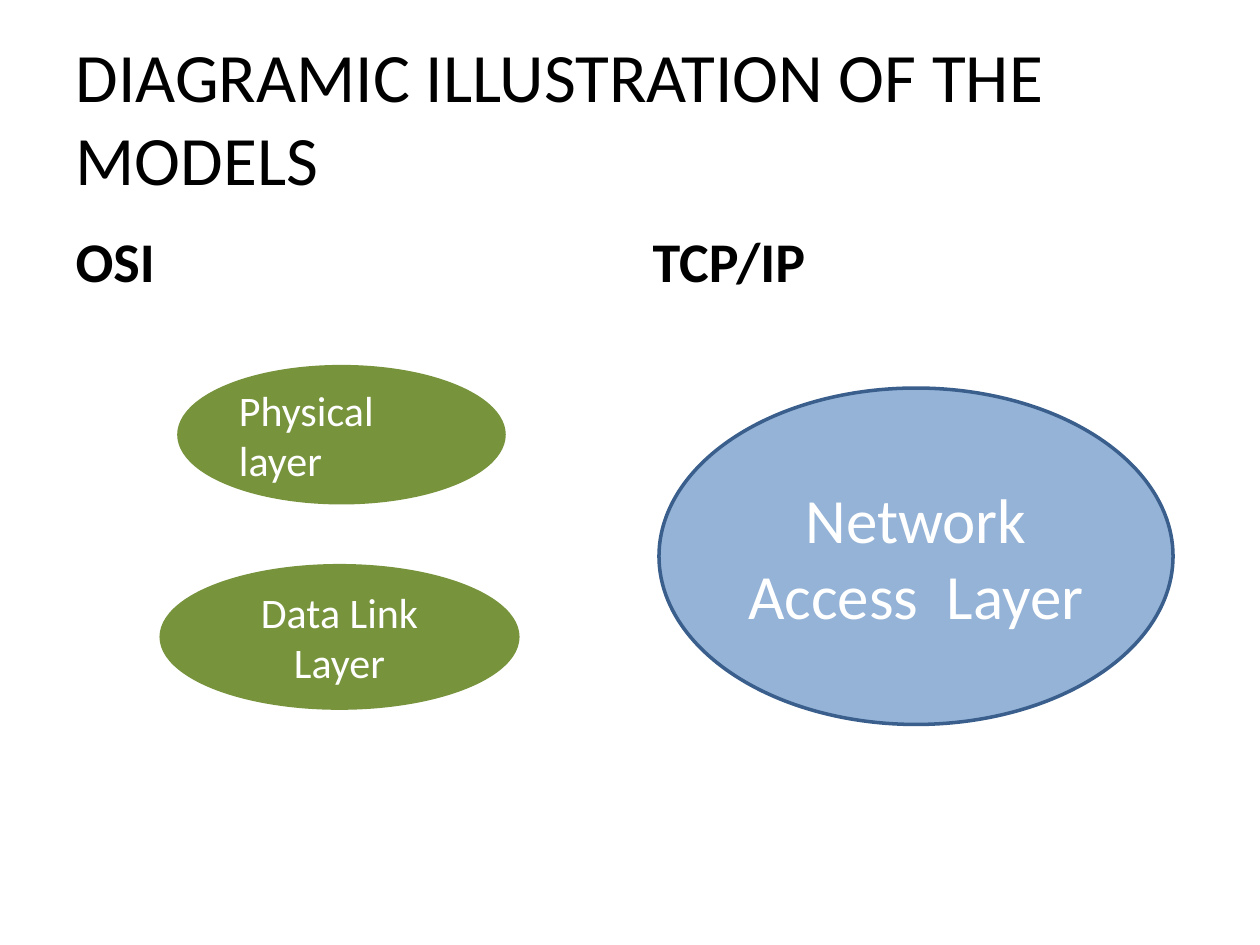
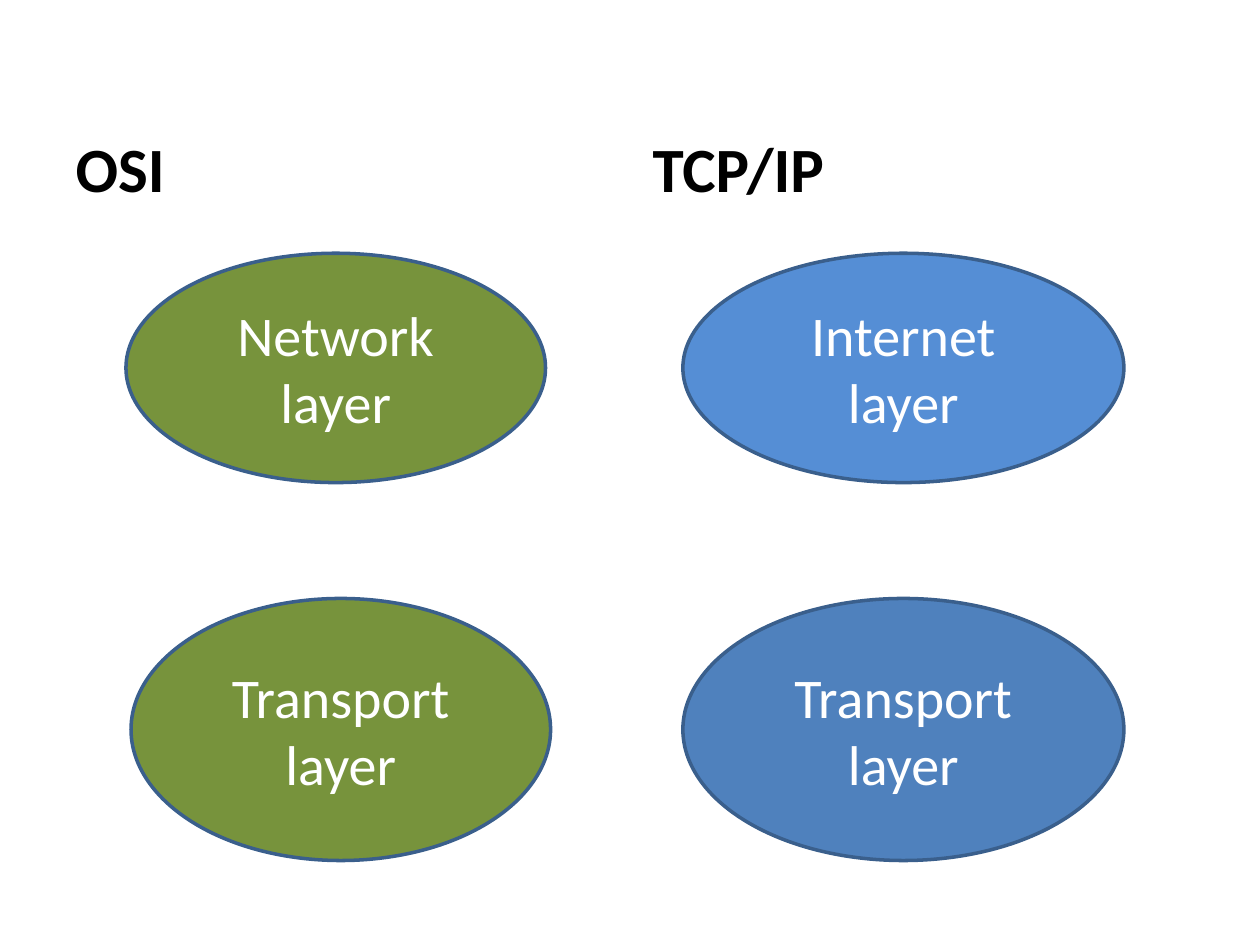
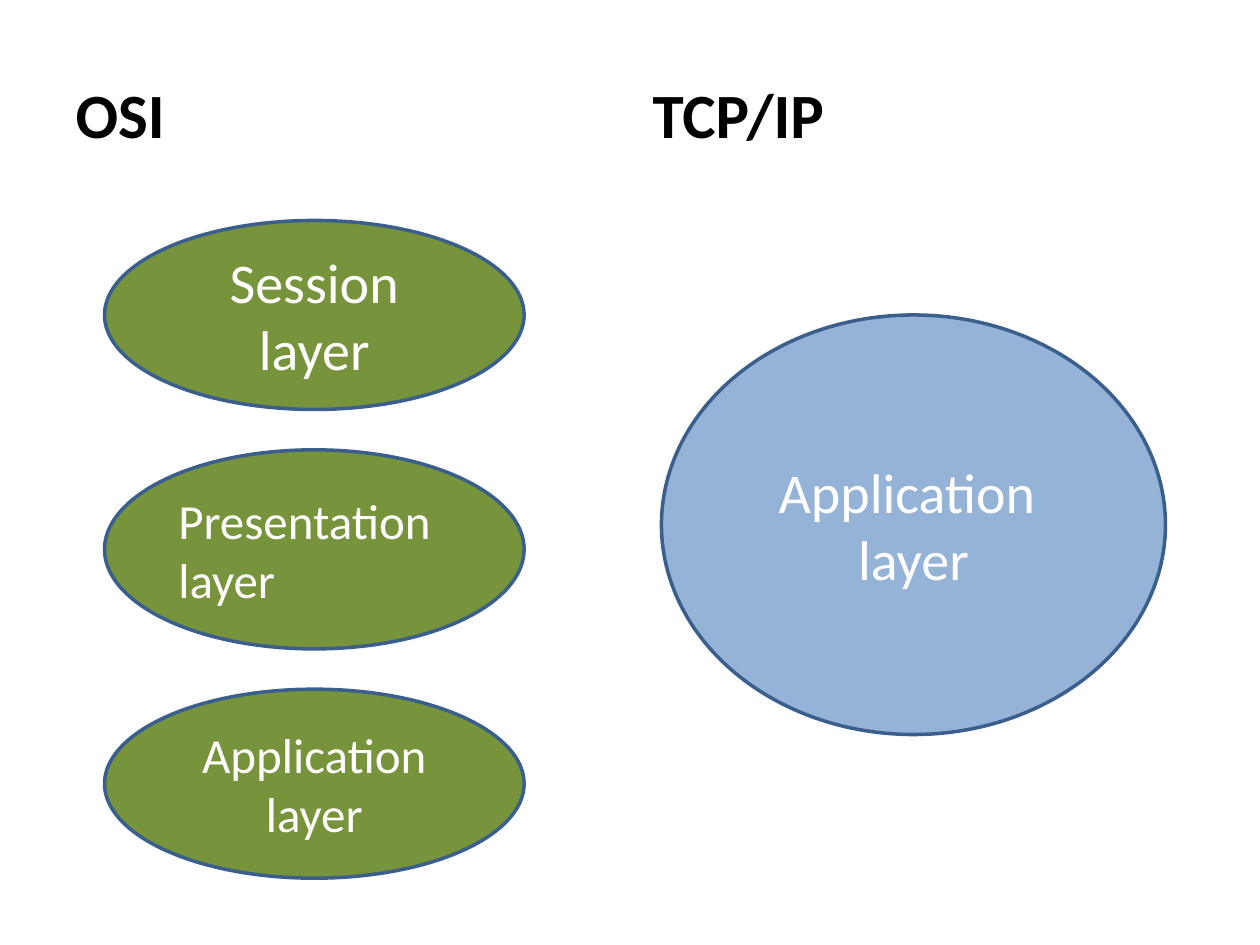
from dataclasses import dataclass

import pptx
import pptx.dml.color
import pptx.enum.shapes
import pptx.enum.text
import pptx.presentation
import pptx.slide
import pptx.util

EMU_PER_PX = 9144  # 100 px to the inch
COMPARISON_LAYOUT = 4
TITLE_INDEX, OSI_INDEX, TCP_IP_INDEX = 0, 1, 3

LEFT = pptx.enum.text.PP_ALIGN.LEFT
CENTER = pptx.enum.text.PP_ALIGN.CENTER
MIDDLE = pptx.enum.text.MSO_ANCHOR.MIDDLE
BOTTOM = pptx.enum.text.MSO_ANCHOR.BOTTOM


@dataclass(frozen=True)
class Theme:
    font: str = "Calibri"
    text: str = "000000"
    layer_text: str = "FFFFFF"
    osi: str = "77933C"
    pale_blue: str = "95B3D7"
    bright_blue: str = "558ED5"
    blue: str = "4F81BD"
    outline: str = "3A5F8C"
    outline_width: float = 2
    title_size: float = 39.6
    huge: float = 36
    large: float = 32
    medium: float = 28
    small: float = 24


THEME = Theme()


@dataclass(frozen=True)
class Box:
    left: int
    top: int
    width: int
    height: int


@dataclass(frozen=True)
class Layer:
    name: str
    box: Box
    fill: str = THEME.osi
    size: float = THEME.large
    outline: str = THEME.outline
    alignment: pptx.enum.text.PP_ALIGN = CENTER


@dataclass(frozen=True)
class ComparisonSlide:
    heading_top: int
    heading_height: int
    heading_size: float
    layers: tuple[Layer, ...]
    title: str = ""


TITLE_BOX = Box(50, 30, 900, 125)
HEADINGS = ((OSI_INDEX, "OSI", 50), (TCP_IP_INDEX, "TCP/IP", 508))
HEADING_WIDTH = 442

SLIDES = (
    ComparisonSlide(
        168, 70, THEME.large,
        (
            Layer("Physical layer", Box(142, 291, 258, 108), size=THEME.small,
                  outline=THEME.osi, alignment=LEFT),
            Layer("Data Link Layer", Box(128, 449, 283, 113), size=THEME.small,
                  outline=THEME.osi),
            Layer("Network Access  Layer", Box(523, 308, 408, 267), THEME.pale_blue, THEME.huge),
        ),
        title="DIAGRAMIC ILLUSTRATION OF THE MODELS",
    ),
    ComparisonSlide(
        75, 93, THEME.huge,
        (
            Layer("Network layer", Box(100, 201, 333, 182)),
            Layer("Internet layer", Box(542, 201, 350, 182), THEME.bright_blue),
            Layer("Transport layer", Box(104, 475, 333, 208)),
            Layer("Transport layer", Box(542, 475, 350, 208), THEME.blue),
        ),
    ),
    ComparisonSlide(
        42, 83, THEME.huge,
        (
            Layer("Session layer", Box(83, 175, 333, 150)),
            Layer("Presentation layer", Box(83, 357, 333, 158), size=THEME.medium,
                  alignment=LEFT),
            Layer("Application layer", Box(83, 547, 333, 150), size=THEME.medium),
            Layer("Application  layer", Box(525, 250, 400, 333), THEME.pale_blue),
        ),
    ),
)


def px(length: int) -> pptx.util.Emu:
    return pptx.util.Emu(length * EMU_PER_PX)


def rgb(color: str) -> pptx.dml.color.RGBColor:
    return pptx.dml.color.RGBColor.from_string(color)


def write_text(shape, text: str, size: float, color: str, bold: bool = False,
               alignment=LEFT, anchor=MIDDLE) -> None:
    frame = shape.text_frame
    frame.word_wrap = True
    frame.auto_size = pptx.enum.text.MSO_AUTO_SIZE.NONE
    frame.vertical_anchor = anchor
    paragraph = frame.paragraphs[0]
    paragraph.alignment = alignment
    run = paragraph.add_run()
    run.text = text
    run.font.name = THEME.font
    run.font.size = pptx.util.Pt(size)
    run.font.bold = bold
    run.font.color.rgb = rgb(color)


def place(shape, box: Box) -> None:
    shape.left, shape.top = px(box.left), px(box.top)
    shape.width, shape.height = px(box.width), px(box.height)


def add_layer(slide: pptx.slide.Slide, layer: Layer) -> None:
    box = layer.box
    ellipse = slide.shapes.add_shape(
        pptx.enum.shapes.MSO_SHAPE.OVAL,
        px(box.left), px(box.top), px(box.width), px(box.height),
    )
    ellipse.shadow.inherit = False
    ellipse.fill.solid()
    ellipse.fill.fore_color.rgb = rgb(layer.fill)
    ellipse.line.color.rgb = rgb(layer.outline)
    ellipse.line.width = pptx.util.Pt(THEME.outline_width)
    write_text(ellipse, layer.name, layer.size, THEME.layer_text, alignment=layer.alignment)


def remove_empty_placeholders(slide: pptx.slide.Slide) -> None:
    for placeholder in list(slide.placeholders):
        if not placeholder.text_frame.text:
            placeholder.element.getparent().remove(placeholder.element)


def add_comparison(presentation: pptx.presentation.Presentation,
                   content: ComparisonSlide) -> None:
    slide = presentation.slides.add_slide(presentation.slide_layouts[COMPARISON_LAYOUT])
    placeholders = {shape.placeholder_format.idx: shape for shape in slide.placeholders}
    if content.title:
        title = placeholders[TITLE_INDEX]
        place(title, TITLE_BOX)
        write_text(title, content.title, THEME.title_size, THEME.text)
    for index, text, left in HEADINGS:
        heading = placeholders[index]
        place(heading, Box(left, content.heading_top, HEADING_WIDTH, content.heading_height))
        write_text(heading, text, content.heading_size, THEME.text, bold=True, anchor=BOTTOM)
    remove_empty_placeholders(slide)
    for layer in content.layers:
        add_layer(slide, layer)


def main() -> None:
    presentation = pptx.Presentation()
    presentation.slide_width, presentation.slide_height = px(1000), px(750)
    for content in SLIDES:
        add_comparison(presentation, content)
    presentation.save("out.pptx")


if __name__ == "__main__":
    main()
